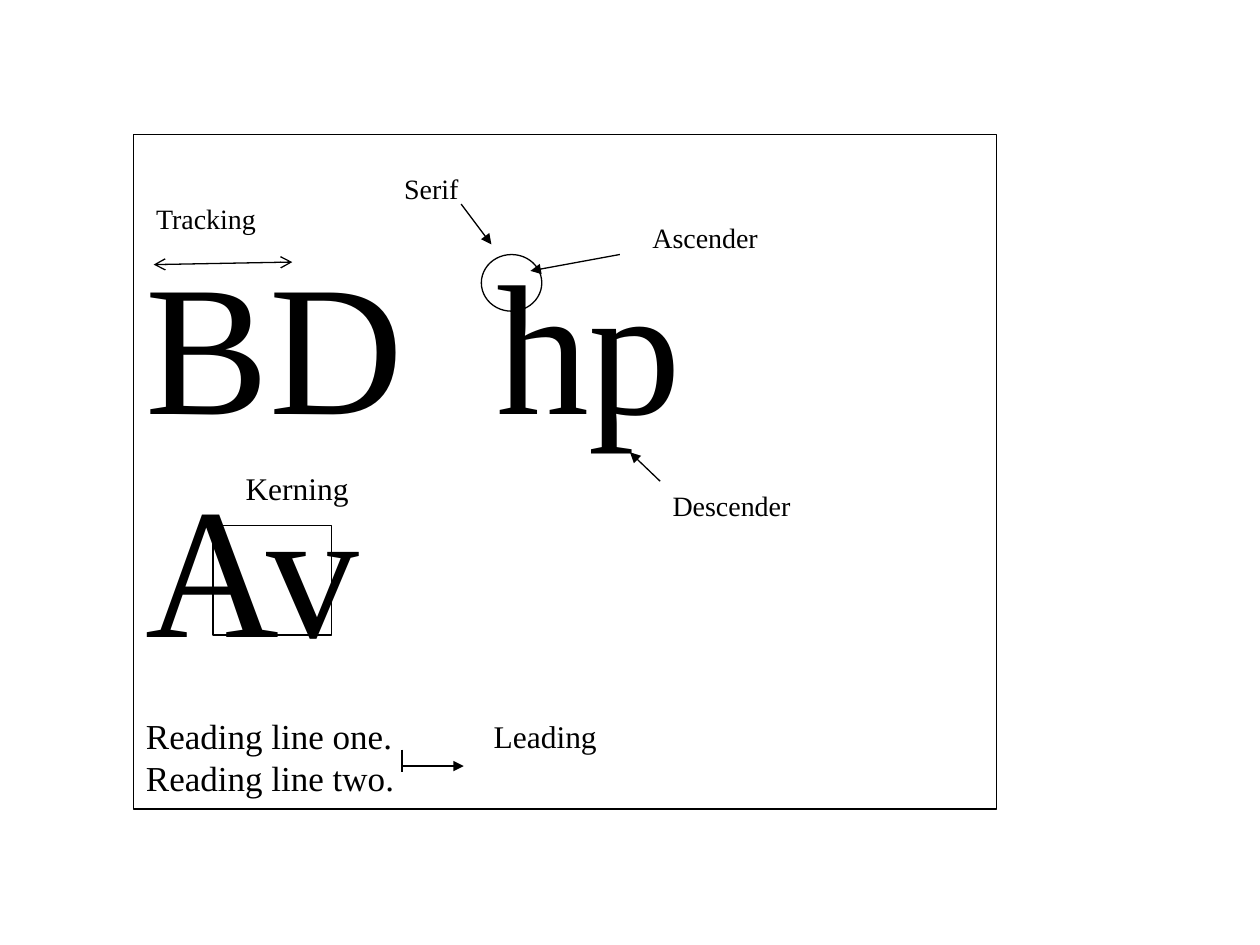
from lxml.etree import SubElement
from pptx import Presentation
from pptx.dml.color import RGBColor
from pptx.enum.shapes import MSO_CONNECTOR, MSO_SHAPE
from pptx.enum.text import MSO_ANCHOR, PP_ALIGN
from pptx.oxml.ns import qn
from pptx.util import Inches, Pt

BLACK = RGBColor(0, 0, 0)
WHITE = RGBColor(255, 255, 255)
FONT = "Times New Roman"
LINE_WIDTH = 0.75
LEADING = 1.2       # line pitch as a share of the type size
HP_TAB = 2.78       # where "hp" starts, from the text's left edge

FRAME = (1.06, 1.07, 6.85, 5.35)
FRAME_TOP_INSET = 0.75
# text, size, space before in points
SPECIMENS = [
    ("BD\thp", 106, 0),
    ("Av", 106, 0),
    ("Reading line one.", 20, 23),
    ("Reading line two.", 20, 0),
]
# text, size, (left, top, width, height)
LABELS = [
    ("Ascender", 16, (5.08, 1.7, 1.56, 0.37)),
    ("Descender", 16, (5.24, 3.83, 2.23, 0.45)),
    ("Kerning", 18, (1.85, 3.67, 1.69, 0.67)),
    ("Tracking", 16, (1.14, 1.55, 1.69, 0.67)),
    ("Serif", 16, (3.11, 1.31, 1.7, 0.67)),
    ("Leading", 18, (3.82, 5.64, 1.7, 0.67)),
]
MARKERS = [
    (MSO_SHAPE.OVAL, (3.82, 2.02, 0.48, 0.45)),          # serif
    (MSO_SHAPE.RECTANGLE, (1.69, 4.17, 0.94, 0.87)),     # kerning
]
# start, end, arrowhead at start, arrowhead at end
ARROWS = [
    ((4.92, 2.02), (4.21, 2.15), None, "triangle"),      # ascender
    ((5.24, 3.82), (5, 3.59), None, "triangle"),         # descender
    ((1.22, 2.1), (2.32, 2.08), "arrow", "arrow"),       # tracking
    ((3.66, 1.62), (3.9, 1.94), None, "triangle"),       # serif
]
LEADING_ARROW = [
    ((3.19, 5.95), (3.19, 6.13), None, None),
    ((3.19, 6.08), (3.68, 6.08), None, "triangle"),
]


def inches(values):
    return [Inches(v) for v in values]


def add_text(p, text, size):
    r = p.add_run()
    r.text = text
    r.font.name = FONT
    r.font.size = Pt(size)
    r.font.color.rgb = BLACK


def set_line(s):
    s.line.color.rgb = BLACK
    s.line.width = Pt(LINE_WIDTH)


def add_outline(shapes, kind, box):
    s = shapes.add_shape(kind, *inches(box))
    s.shadow.inherit = False
    s.fill.background()
    set_line(s)
    return s


def add_arrow(shapes, start, end, head, tail):
    c = shapes.add_connector(MSO_CONNECTOR.STRAIGHT, *inches(start + end))
    set_line(c)
    ln = c.line._get_or_add_ln()
    for tag, kind in (("a:headEnd", head), ("a:tailEnd", tail)):
        if kind:
            SubElement(ln, qn(tag), type=kind)
    SubElement(c._element.spPr, qn("a:effectLst"))


def add_frame(shapes):
    s = add_outline(shapes, MSO_SHAPE.RECTANGLE, FRAME)
    s.fill.solid()
    s.fill.fore_color.rgb = WHITE
    tf = s.text_frame
    tf.word_wrap = True
    tf.vertical_anchor = MSO_ANCHOR.TOP
    tf.margin_top = Inches(FRAME_TOP_INSET)
    for i, (text, size, before) in enumerate(SPECIMENS):
        p = tf.paragraphs[0] if i == 0 else tf.add_paragraph()
        p.alignment = PP_ALIGN.LEFT
        p.line_spacing = Pt(size * LEADING)
        p.space_before = Pt(before)
        if "\t" in text:
            tabs = SubElement(p._p.get_or_add_pPr(), qn("a:tabLst"))
            SubElement(tabs, qn("a:tab"), pos=str(Inches(HP_TAB)), algn="l")
        add_text(p, text, size)


def add_label(shapes, text, size, box):
    tf = shapes.add_textbox(*inches(box)).text_frame
    tf.word_wrap = True
    p = tf.paragraphs[0]
    p.alignment = PP_ALIGN.JUSTIFY
    add_text(p, text, size)


def main():
    prs = Presentation()
    prs.slide_width, prs.slide_height = inches((10, 7.5))
    shapes = prs.slides.add_slide(prs.slide_layouts[6]).shapes
    add_frame(shapes)
    for label in LABELS:
        add_label(shapes, *label)
    for marker in MARKERS:
        add_outline(shapes, *marker)
    for arrow in ARROWS:
        add_arrow(shapes, *arrow)
    group = shapes.add_group_shape()
    for arrow in LEADING_ARROW:
        add_arrow(group.shapes, *arrow)
    prs.save("out.pptx")


if __name__ == "__main__":
    main()
